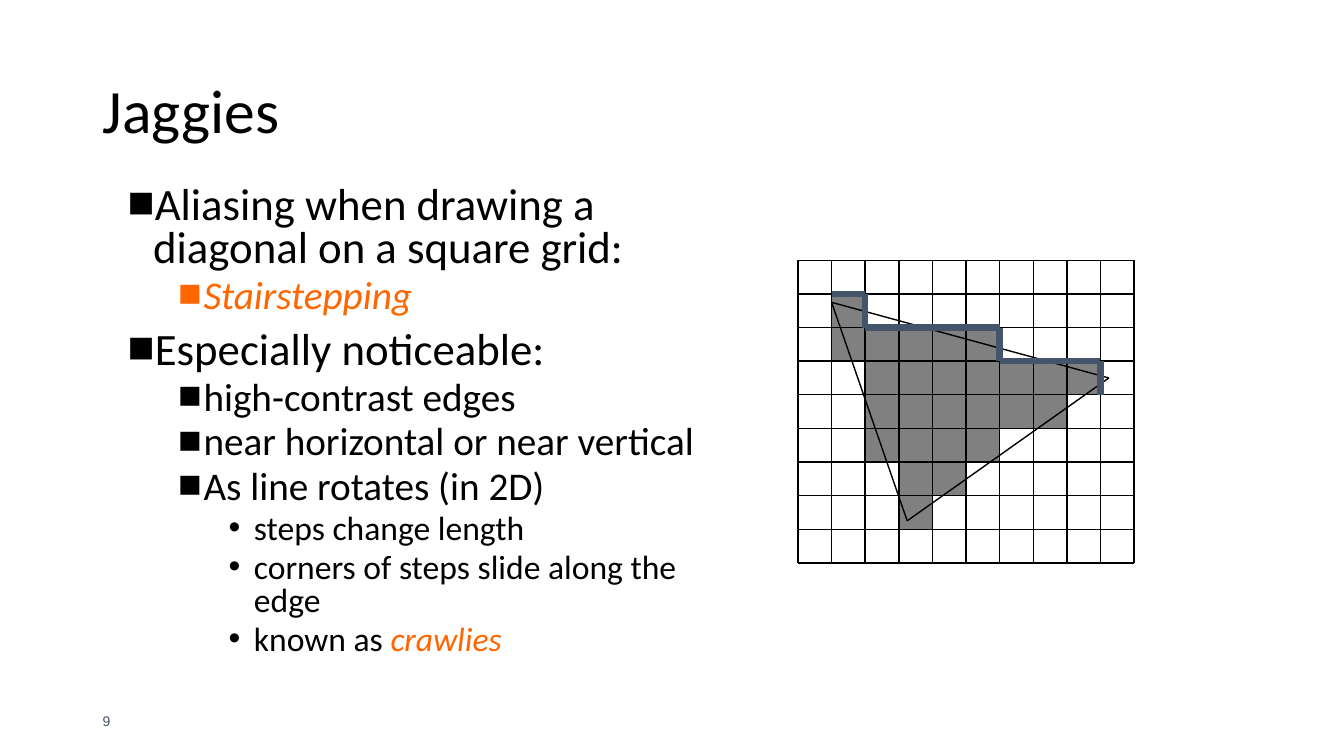
from dataclasses import dataclass
from itertools import pairwise

from lxml import etree
from pptx import Presentation
from pptx import util as u
from pptx.dml import color
from pptx.enum import shapes, text
from pptx.oxml import ns

COLORS = {
    "ink": "000000",
    "accent": "FF6600",
    "pixel": "808080",
    "slate": "44546A",
}

# Grid of pixels, in centimetres
GRID_LEFT, GRID_TOP = 20.11, 6.56
COLUMNS, ROWS = 10, 9
CELL = 8.47 / COLUMNS

Point = tuple[float, float]  # column and row, in cells


@dataclass
class Level:
    size: int
    margin: float
    space_before: int
    bullet: str


@dataclass
class Bullet:
    level: int
    words: str
    emphasis: str = ""


@dataclass
class PixelRow:
    row: int
    first: int
    last: int


LEVELS = [
    Level(32, 0.64, 10, "■"),
    Level(28, 1.91, 5, "■"),
    Level(24, 3.18, 5, "•"),
]

BULLETS = [
    Bullet(0, "Aliasing when drawing a diagonal on a square grid:"),
    Bullet(1, "", "Stairstepping"),
    Bullet(0, "Especially noticeable:"),
    Bullet(1, "high-contrast edges"),
    Bullet(1, "near horizontal or near vertical"),
    Bullet(1, "As line rotates (in 2D)"),
    Bullet(2, "steps change length"),
    Bullet(2, "corners of steps slide along the edge"),
    Bullet(2, "known as ", "crawlies"),
]

PIXEL_ROWS = [
    PixelRow(1, 1, 1),
    PixelRow(2, 1, 5),
    PixelRow(3, 2, 8),
    PixelRow(4, 2, 7),
    PixelRow(5, 2, 5),
    PixelRow(6, 3, 4),
    PixelRow(7, 3, 3),
]

TRIANGLE: list[Point] = [(1, 1.25), (9.25, 3.5), (3.25, 7.75), (1, 1.25)]
STAIRS: list[Point] = [(1, 1), (2, 1), (2, 2), (6, 2), (6, 3), (9, 3), (9, 4)]


def rgb(name: str) -> color.RGBColor:
    return color.RGBColor.from_string(COLORS[name])


def grid_x(column: float) -> u.Length:
    return u.Cm(GRID_LEFT + column * CELL)


def grid_y(row: float) -> u.Length:
    return u.Cm(GRID_TOP + row * CELL)


def format_run(run, size: int, ink: str, font: str = "Calibri") -> None:
    run.font.name = font
    run.font.size = u.Pt(size)
    run.font.color.rgb = rgb(ink)


def add_text_frame(slide, left: float, top: float, width: float, height: float,
                   anchor: text.MSO_ANCHOR):
    box = slide.shapes.add_textbox(u.Cm(left), u.Cm(top), u.Cm(width), u.Cm(height))
    frame = box.text_frame
    frame.word_wrap = True
    frame.vertical_anchor = anchor
    return frame


def fill_bullet(paragraph, bullet: Bullet) -> None:
    level = LEVELS[bullet.level]
    paragraph.level = bullet.level
    paragraph.line_spacing = 0.8
    paragraph.space_before = u.Pt(level.space_before)
    properties = paragraph._p.get_or_add_pPr()
    properties.set("marL", str(u.Cm(level.margin)))
    properties.set("indent", str(-u.Cm(0.64)))
    etree.SubElement(properties, ns.qn("a:buFont"), typeface="Arial")
    etree.SubElement(properties, ns.qn("a:buChar"), char=level.bullet)
    for words, ink in ((bullet.words, "ink"), (bullet.emphasis, "accent")):
        if words:
            run = paragraph.add_run()
            run.text = words
            format_run(run, level.size, ink)
            run.font.italic = ink == "accent"


def add_pixel(slide, column: int, row: int) -> None:
    pixel = slide.shapes.add_shape(
        shapes.MSO_SHAPE.RECTANGLE, grid_x(column), grid_y(row), u.Cm(CELL), u.Cm(CELL))
    pixel.shadow.inherit = False
    pixel.fill.solid()
    pixel.fill.fore_color.rgb = rgb("pixel")
    pixel.line.fill.background()


def add_line(slide, start: Point, end: Point, ink: str = "ink", width: float = 1) -> None:
    line = slide.shapes.add_connector(
        shapes.MSO_CONNECTOR.STRAIGHT,
        grid_x(start[0]), grid_y(start[1]), grid_x(end[0]), grid_y(end[1]))
    line.line.color.rgb = rgb(ink)
    line.line.width = u.Pt(width)
    etree.SubElement(line._element.spPr, ns.qn("a:effectLst"))


def add_texts(slide) -> None:
    # Slide number
    number = add_text_frame(slide, 2.34, 17.65, 7.62, 1.02, text.MSO_ANCHOR.MIDDLE)
    number.text = "9"
    format_run(number.paragraphs[0].runs[0], 10, "slate", "Arial")

    # Title
    title = add_text_frame(slide, 2.34, 1.02, 29.21, 3.68, text.MSO_ANCHOR.MIDDLE)
    title.text = "Jaggies"
    title.paragraphs[0].line_spacing = 0.9
    format_run(title.paragraphs[0].runs[0], 44, "ink")

    # Bullet list
    body = add_text_frame(slide, 2.97, 4.57, 14.81, 13.23, text.MSO_ANCHOR.TOP)
    for index, bullet in enumerate(BULLETS):
        fill_bullet(body.add_paragraph() if index else body.paragraphs[0], bullet)


def add_raster(slide) -> None:
    # Filled pixels
    for span in PIXEL_ROWS:
        for column in range(span.first, span.last + 1):
            add_pixel(slide, column, span.row)

    # Triangle outline
    for start, end in pairwise(TRIANGLE):
        add_line(slide, start, end)

    # Grid lines
    for row in range(ROWS + 1):
        add_line(slide, (0, row), (COLUMNS, row))
    for column in range(COLUMNS + 1):
        add_line(slide, (column, 0), (column, ROWS))

    # Stairstepped edge
    for start, end in pairwise(STAIRS):
        add_line(slide, start, end, "slate", 4.5)


def main() -> None:
    presentation = Presentation()
    presentation.slide_width = u.Cm(33.87)
    presentation.slide_height = u.Cm(19.05)
    slide = presentation.slides.add_slide(presentation.slide_layouts[6])
    add_texts(slide)
    add_raster(slide)
    presentation.save("out.pptx")


if __name__ == "__main__":
    main()
